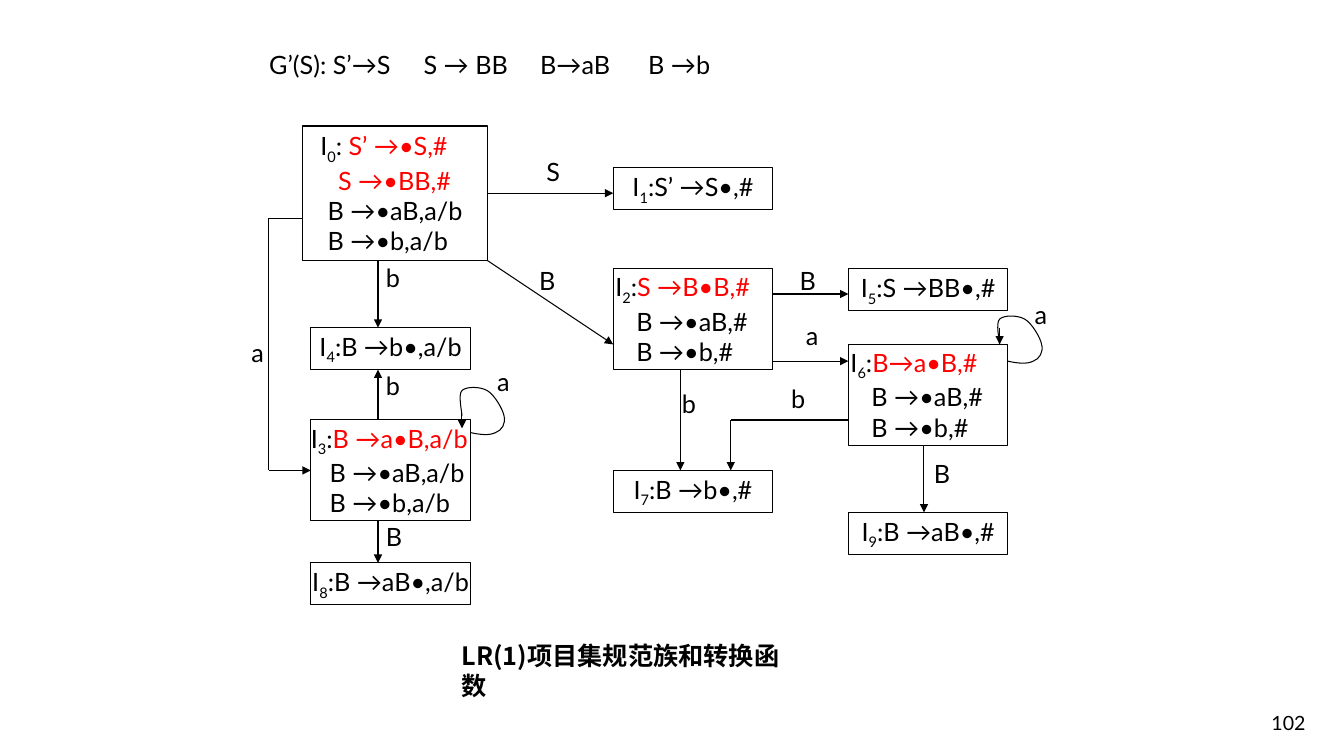
from dataclasses import dataclass
from typing import Any

from lxml import etree
from pptx import Presentation
from pptx.dml.color import RGBColor
from pptx.enum.shapes import MSO_CONNECTOR, MSO_SHAPE
from pptx.enum.text import MSO_ANCHOR, MSO_AUTO_SIZE, PP_ALIGN
from pptx.oxml.ns import qn
from pptx.util import Emu, Pt

PX = 9525
LATIN_FONT = "Lato"
CAPTION_FONT = "Noto Sans CJK JP"
BLACK, RED, WHITE = "000000", "FF0000", "FFFFFF"
LEFT, CENTER, RIGHT = PP_ALIGN.LEFT, PP_ALIGN.CENTER, PP_ALIGN.RIGHT
TOP, MIDDLE, BOTTOM = MSO_ANCHOR.TOP, MSO_ANCHOR.MIDDLE, MSO_ANCHOR.BOTTOM
NO_AUTOSIZE = MSO_AUTO_SIZE.NONE
RECTANGLE = MSO_SHAPE.RECTANGLE
STRAIGHT = MSO_CONNECTOR.STRAIGHT
TITLE_ONLY_LAYOUT = 5


@dataclass(frozen=True)
class Item:
    text: str
    indent: int = 0
    color: str = BLACK


@dataclass(frozen=True)
class State:
    number: int
    left: int
    top: int
    items: tuple[Item, ...]
    width: int = 152
    height: int = 40
    separator: str = ":"


@dataclass(frozen=True)
class Label:
    text: str
    left: int
    top: int


STATES = (
    State(0, 288, 120, (Item("S’ →•S,#", 17, RED), Item("S →•BB,#", 34, RED),
                        Item("B →•aB,a/b", 24), Item("B →•b,a/b", 24)), 176, 128, ": "),
    State(1, 584, 160, (Item("S’ →S•,#"),)),
    State(2, 584, 256, (Item("S →B•B,#", 2, RED), Item("B →•aB,#", 22),
                        Item("B →•b,#", 22)), height=96),
    State(5, 808, 256, (Item("S →BB•,#"),)),
    State(6, 808, 328, (Item("B→a•B,#", 2, RED), Item("B →•aB,#", 22),
                        Item("B →•b,#", 22)), height=96),
    State(3, 296, 400, (Item("B →a•B,a/b", 0, RED), Item("B →•aB,a/b", 18),
                        Item("B →•b,a/b", 18)), height=96),
    State(4, 296, 312, (Item("B →b•,a/b"),)),
    State(7, 584, 448, (Item("B →b•,#"),)),
    State(9, 808, 488, (Item("B →aB•,#"),)),
    State(8, 296, 536, (Item("B →aB•,a/b"),)),
)

ARROWS = (
    ((464, 184), (584, 184)),
    ((464, 248), (584, 328)),
    ((736, 280), (808, 280)),
    ((736, 344), (808, 344)),
    ((648, 352), (648, 448)),
    ((360, 248), (360, 312)),
    ((360, 400), (360, 352)),
    ((360, 496), (360, 536)),
    ((880, 424), (880, 488)),
    ((808, 400), (696, 400), (696, 448)),
    ((288, 208), (256, 208), (256, 448), (296, 448)),
    ((952, 312), (952, 328)),
    ((440, 392), (440, 408)),
)

LABELS = (
    Label("S", 511, 144), Label("B", 504, 248), Label("B", 752, 248),
    Label("a", 758, 300), Label("b", 640, 365), Label("b", 358, 245),
    Label("b", 358, 348), Label("B", 358, 492), Label("B", 880, 432),
    Label("a", 230, 317), Label("a", 976, 280), Label("a", 464, 344),
    Label("b", 744, 360),
)

LOOP_STARTS = ((960, 344), (448, 412))
LOOP_CURVE = (
    (9, 2), (18, 3), (24, 0), (30, -2), (34, -9), (32, -16), (31, -22), (23, -36),
    (16, -40), (9, -44), (-4, -44), (-8, -40), (-12, -36), (-8, -20), (-8, -16),
)
GRAMMAR = "G’(S): S’→S\tS → BB\tB→aB\tB →b"
GRAMMAR_TABS = (147, 258, 361)


def px(*lengths: int) -> list[Emu]:
    return [Emu(length * PX) for length in lengths]


def rgb(color: str) -> RGBColor:
    return RGBColor.from_string(color)


def apply(target: Any, values: dict[str, Any]) -> None:
    for name, value in values.items():
        setattr(target, name, value)


def outline(shape: Any) -> None:
    shape.line.color.rgb = rgb(BLACK)
    shape.line.width = Pt(0.75)


def write(paragraph: Any, text: str, color: str = BLACK, size: int = 18,
          font: str = LATIN_FONT, bold: bool = False, subscript: bool = False) -> None:
    run = paragraph.add_run()
    run.text = text
    apply(run.font, {"name": font, "size": Pt(size), "bold": bold})
    run.font.color.rgb = rgb(color)
    properties = run._r.get_or_add_rPr()
    etree.SubElement(properties, qn("a:ea")).set("typeface", font)
    if subscript:
        properties.set("baseline", "-25000")


def add_text(slide: Any, box: tuple[int, int, int, int], align: Any = LEFT,
             anchor: Any = TOP, wrap: bool = False) -> Any:
    frame = slide.shapes.add_textbox(*px(*box)).text_frame
    apply(frame, {"word_wrap": wrap, "vertical_anchor": anchor})
    paragraph = frame.paragraphs[0]
    paragraph.alignment = align
    return paragraph


def add_state(slide: Any, state: State) -> None:
    shape = slide.shapes.add_shape(
        RECTANGLE, *px(state.left, state.top, state.width, state.height))
    shape.shadow.inherit = False
    shape.fill.solid()
    shape.fill.fore_color.rgb = rgb(WHITE)
    outline(shape)
    frame = shape.text_frame
    apply(frame, {"word_wrap": True, "vertical_anchor": MIDDLE, "margin_left": 0,
                  "margin_right": 0, "margin_top": 0, "margin_bottom": 0})
    for index, item in enumerate(state.items):
        paragraph = frame.add_paragraph() if index else frame.paragraphs[0]
        paragraph.alignment = LEFT if len(state.items) > 1 else CENTER
        paragraph._p.get_or_add_pPr().set("marL", str(item.indent * PX))
        if index == 0:
            write(paragraph, "I")
            write(paragraph, str(state.number), subscript=True)
            write(paragraph, state.separator)
        write(paragraph, item.text, item.color)


def add_arrow(slide: Any, points: tuple[tuple[int, int], ...]) -> None:
    for start, end in zip(points, points[1:]):
        connector = slide.shapes.add_connector(STRAIGHT, *px(*start, *end))
        outline(connector)
        properties = connector.element.spPr
        if end == points[-1]:
            line = properties.find(qn("a:ln"))
            etree.SubElement(line, qn("a:tailEnd")).set("type", "triangle")
        etree.SubElement(properties, qn("a:effectLst"))


def add_loop(slide: Any, left: int, top: int) -> None:
    builder = slide.shapes.build_freeform(left, top, scale=PX)
    builder.add_line_segments([(left + x, top + y) for x, y in LOOP_CURVE], close=False)
    shape = builder.convert_to_shape()
    shape.shadow.inherit = False
    shape.fill.background()
    outline(shape)
    outline_path = next(shape.element.iter(qn("a:path")))
    segments = outline_path.findall(qn("a:lnTo"))
    for first in range(0, len(segments), 3):
        curve = etree.SubElement(outline_path, qn("a:cubicBezTo"))
        for segment in segments[first:first + 3]:
            curve.append(segment[0])
            outline_path.remove(segment)


def add_caption(slide: Any) -> None:
    title = slide.shapes.title
    left, top, width, height = px(430, 605, 340, 68)
    apply(title, {"left": left, "top": top, "width": width, "height": height})
    apply(title.text_frame, {"word_wrap": True, "vertical_anchor": TOP,
                             "auto_size": NO_AUTOSIZE})
    paragraph = title.text_frame.paragraphs[0]
    paragraph.alignment = LEFT
    write(paragraph, "LR(1)项目集规范族和转换函数", font=CAPTION_FONT, bold=True)


def add_grammar(slide: Any) -> None:
    paragraph = add_text(slide, (247, 42, 471, 38), wrap=True)
    tabs = etree.SubElement(paragraph._p.get_or_add_pPr(), qn("a:tabLst"))
    for position in GRAMMAR_TABS:
        tab = etree.SubElement(tabs, qn("a:tab"))
        tab.set("pos", str(position * PX))
        tab.set("algn", "l")
    write(paragraph, GRAMMAR)


def main() -> None:
    presentation = Presentation()
    width, height = px(1280, 720)
    apply(presentation, {"slide_width": width, "slide_height": height})
    slide = presentation.slides.add_slide(presentation.slide_layouts[TITLE_ONLY_LAYOUT])
    add_caption(slide)
    add_grammar(slide)
    for state in STATES:
        add_state(slide, state)
    for points in ARROWS:
        add_arrow(slide, points)
    for start in LOOP_STARTS:
        add_loop(slide, *start)
    for label in LABELS:
        write(add_text(slide, (label.left, label.top, 33, 38)), label.text)
    write(add_text(slide, (986, 656, 267, 48), RIGHT, BOTTOM, True), "102", size=14)
    presentation.save("out.pptx")


if __name__ == "__main__":
    main()
